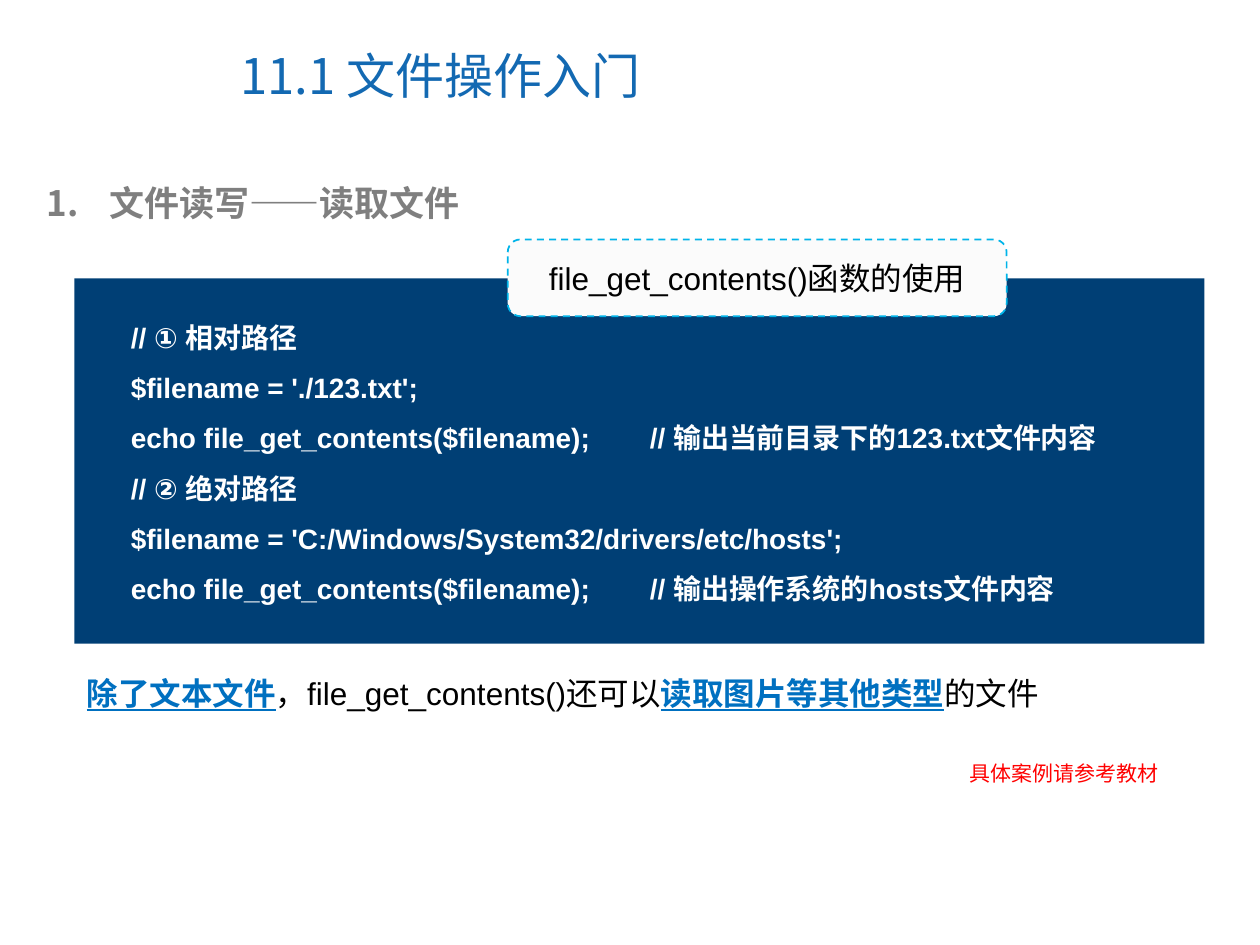
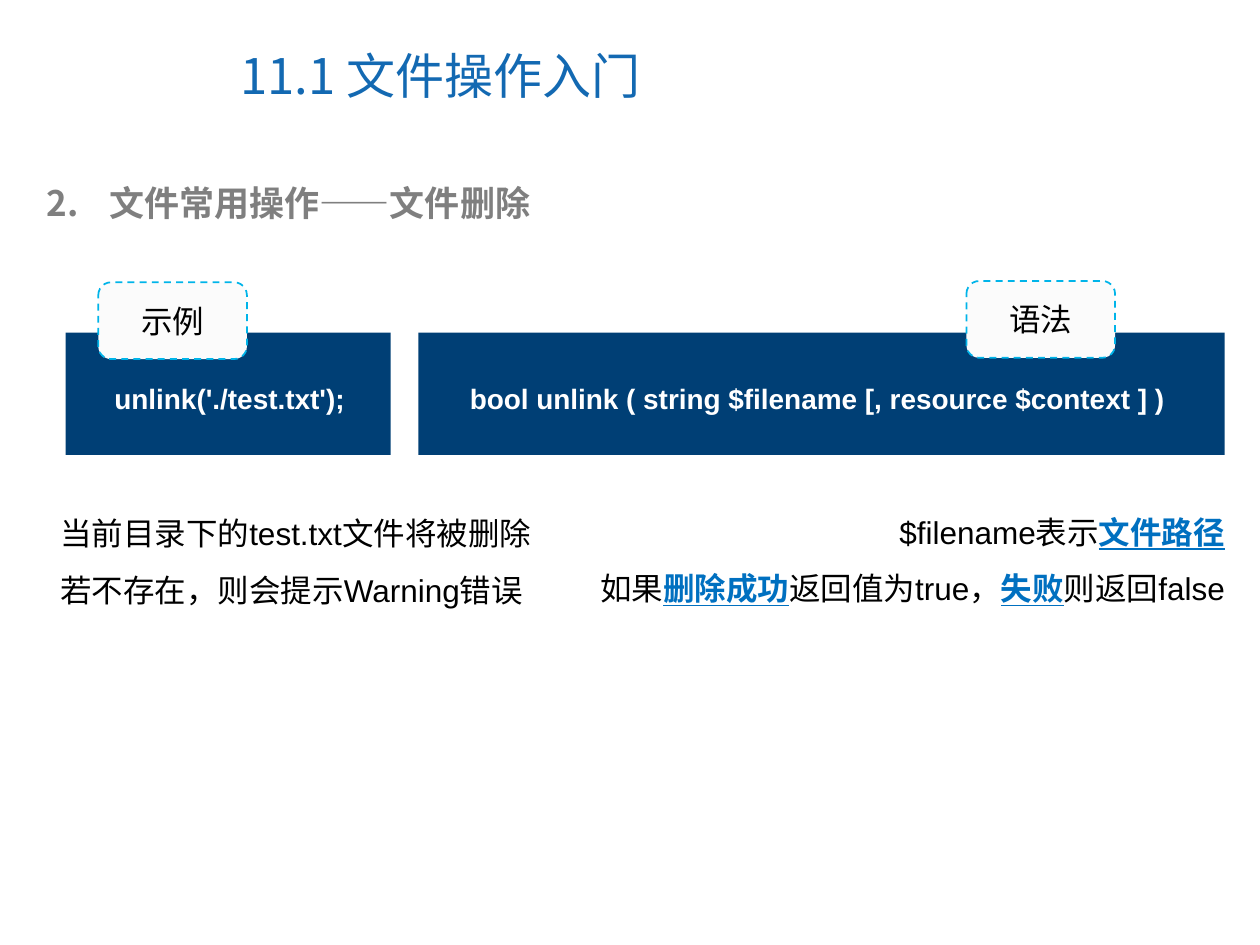
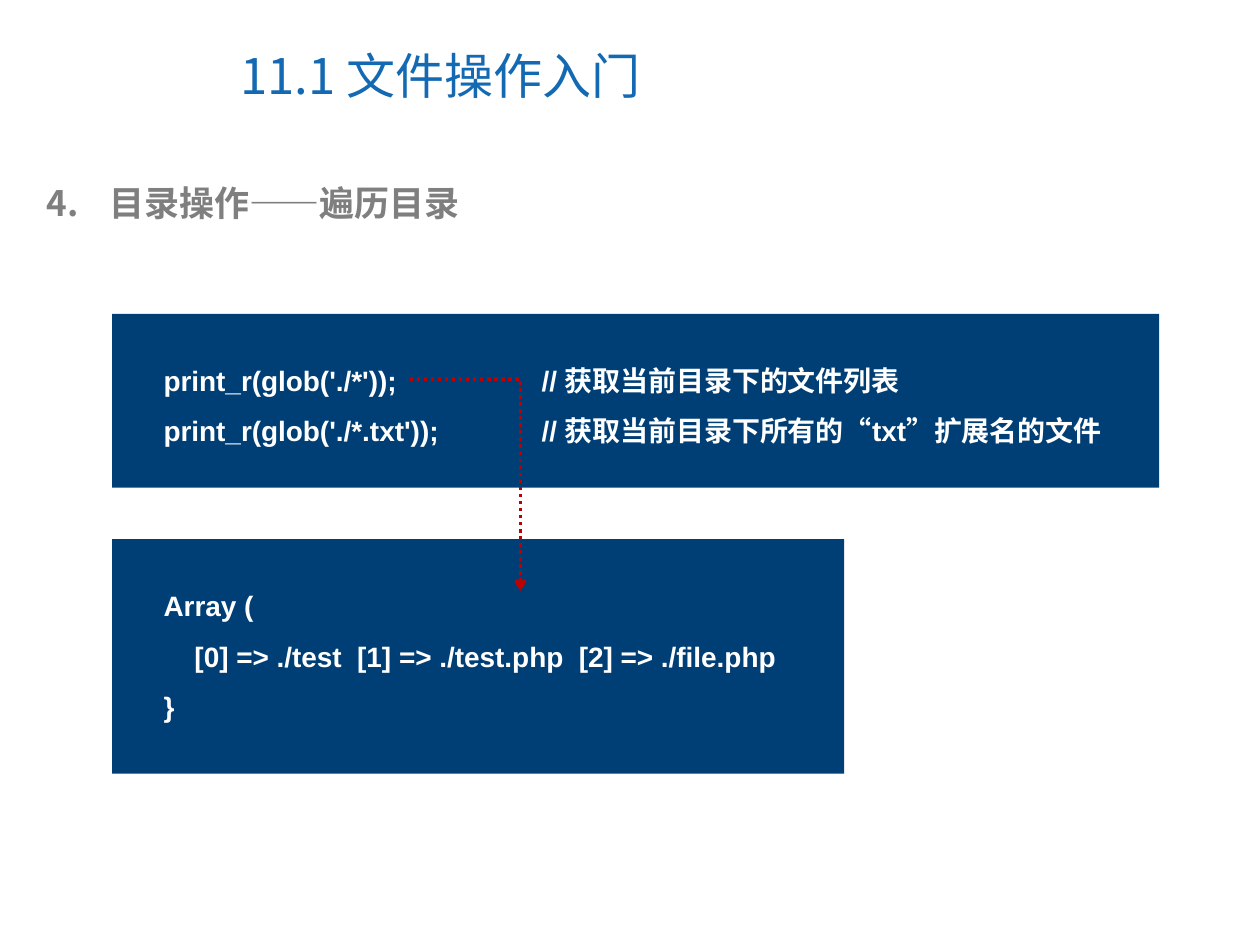
from lxml.etree import SubElement as Sub
from pptx import Presentation
from pptx.dml.color import RGBColor as RGB
from pptx.enum.dml import MSO_LINE as Dash
from pptx.enum.shapes import MSO_CONNECTOR as Conn, MSO_SHAPE as Shape
from pptx.enum.text import MSO_ANCHOR as Anchor, PP_ALIGN as Align
from pptx.oxml.ns import qn
from pptx.util import Inches, Pt

COLORS = {
    "title": "1369B2", "head": "7F7F7F", "panel": "003F75", "code": "FFFFFF",
    "text": "000000", "key": "0070C0", "tag": "FBFBFB", "edge": "00B4E9",
    "note": "FF0000", "arrow": "C00000",
}
SANS, CJK = "Arial", "Noto Sans CJK SC"


def color(name):
    return RGB.from_string(COLORS[name])


def style(run, size, tint, bold=False, face=SANS):
    font = run.font
    font.size, font.bold, font.name = Pt(size), bold, face
    font.color.rgb = color(tint)
    Sub(run._r.get_or_add_rPr(), qn("a:ea"), typeface=CJK)


def write(frame, lines, size, tint, bold=False, face=SANS, space=None,
          align=None):
    """Fill a frame; parts between bars are key words."""
    frame.text = "\n".join([""] * len(lines))
    for para, line in zip(frame.paragraphs, lines):
        if space:
            para.line_spacing = space
        if align:
            para.alignment = align
        for i, part in enumerate(line.split("|")):
            if not part:
                continue
            run = para.add_run()
            run.text = part
            key = i % 2 == 1
            style(run, size, "key" if key else tint, key or bold, face)
            if key:
                run.font.underline = True


def text(slide, box, lines, size, tint, wrap=True, **opts):
    frame = slide.shapes.add_textbox(*map(Inches, box)).text_frame
    frame.word_wrap = wrap
    write(frame, lines, size, tint, **opts)
    return frame


def shape(slide, kind, box, fill):
    item = slide.shapes.add_shape(kind, *map(Inches, box))
    item.shadow.inherit = False
    item.fill.solid()
    item.fill.fore_color.rgb = color(fill)
    item.line.fill.background()
    return item


# Title and numbered heading
def start(prs, num, head):
    slide = prs.slides.add_slide(prs.slide_layouts[6])
    frame = text(slide, (1.81, 0.17, 5.16, 0.85), ["11.1 文件操作入门"], 28,
                 "title", face=CJK)
    frame.vertical_anchor = Anchor.MIDDLE
    frame = text(slide, (0.27, 1.39, 9.22, 0.44), [head], 20, "head",
                 bold=True, face=CJK)
    props = frame.paragraphs[0]._p.get_or_add_pPr()
    props.set("marL", str(Inches(0.5)))
    props.set("indent", str(-Inches(0.5)))
    tint = Sub(props, qn("a:buClr"))
    Sub(tint, qn("a:srgbClr"), val=COLORS["head"])
    Sub(props, qn("a:buAutoNum"), type="arabicPeriod", startAt=str(num))
    return slide


# Dark panel with lines of code
def panel(slide, box, lines, pad=(0.31, 0.21), tab=None):
    shape(slide, Shape.RECTANGLE, box, "panel")
    left, top, width, _ = box
    dx, dy = pad
    frame = text(slide, (left + dx, top + dy, width - dx, 0.4 * len(lines) + 0.1),
                 lines, 16, "code", bold=True, space=1.5)
    if tab:
        for para in frame.paragraphs:
            stops = Sub(para._p.get_or_add_pPr(), qn("a:tabLst"))
            Sub(stops, qn("a:tab"), pos=str(Inches(tab)), algn="l")


# Dashed label on the edge of a panel
def tag(slide, left, top, width, label):
    item = shape(slide, Shape.ROUNDED_RECTANGLE, (left, top, width, 0.61), "tag")
    item.line.color.rgb = color("edge")
    item.line.width = Pt(1)
    item.line.dash_style = Dash.DASH
    item.text_frame.vertical_anchor = Anchor.MIDDLE
    write(item.text_frame, [label], 18, "text", align=Align.CENTER)


# Dotted arrow that runs right, then down
def arrow(slide, left, top, right, bottom):
    conn = slide.shapes.add_connector(
        Conn.ELBOW, *map(Inches, (left, top, right, bottom)))
    conn.line.color.rgb = color("arrow")
    conn.line.width = Pt(2)
    conn.line.dash_style = Dash.ROUND_DOT
    props = conn._element.spPr
    props.find(qn("a:prstGeom")).set("prst", "bentConnector2")
    Sub(props.find(qn("a:ln")), qn("a:tailEnd"), type="arrow")
    Sub(props, qn("a:effectLst"))


def read(prs):
    slide = start(prs, 1, "文件读写——读取文件")
    panel(slide, (0.59, 2.21, 8.97, 2.9), [
        "// ① 相对路径",
        "$filename = './123.txt';",
        "echo file_get_contents($filename);\t// 输出当前目录下的123.txt文件内容",
        "// ② 绝对路径",
        "$filename = 'C:/Windows/System32/drivers/etc/hosts';",
        "echo file_get_contents($filename);\t// 输出操作系统的hosts文件内容",
    ], pad=(0.35, 0.15), tab=4.12)
    text(slide, (0.59, 5.3, 8.97, 0.4),
         ["|除了文本文件|，file_get_contents()还可以|读取图片等其他类型|的文件"],
         18, "text")
    tag(slide, 4.03, 1.9, 3.96, "file_get_contents()函数的使用")
    text(slide, (7.6, 5.99, 1.7, 0.3), ["具体案例请参考教材"], 12, "note",
         wrap=False)


def delete(prs):
    slide = start(prs, 2, "文件常用操作——文件删除")
    panel(slide, (3.32, 2.64, 6.4, 0.97),
          ["bool unlink ( string $filename [, resource $context ] )"])
    text(slide, (4.41, 3.87, 5.41, 1), [
        "$filename表示|文件路径|",
        "如果|删除成功|返回值为true，|失败|则返回false",
    ], 18, "text", space=1.5, align=Align.RIGHT)
    panel(slide, (0.52, 2.64, 2.58, 0.97), ["unlink('./test.txt');"],
          pad=(0.29, 0.21))
    text(slide, (0.38, 3.88, 4.12, 1), [
        "当前目录下的test.txt文件将被删除",
        "若不存在，则会提示Warning错误",
    ], 18, "text", space=1.5)
    tag(slide, 7.67, 2.23, 1.18, "语法")
    tag(slide, 0.78, 2.24, 1.18, "示例")


def browse(prs):
    slide = start(prs, 4, "目录操作——遍历目录")
    panel(slide, (0.89, 2.49, 8.31, 1.38), [
        "print_r(glob('./*'));\t// 获取当前目录下的文件列表",
        "print_r(glob('./*.txt'));\t// 获取当前目录下所有的“txt”扩展名的文件",
    ], tab=3)
    panel(slide, (0.89, 4.28, 5.81, 1.86), [
        "Array (",
        "    [0] => ./test  [1] => ./test.php  [2] => ./file.php",
        "}",
    ])
    arrow(slide, 3.25, 3.01, 4.13, 4.69)


def main():
    prs = Presentation()
    prs.slide_width, prs.slide_height = Inches(10), Inches(7.5)
    for build in (read, delete, browse):
        build(prs)
    prs.save("out.pptx")


if __name__ == "__main__":
    main()
